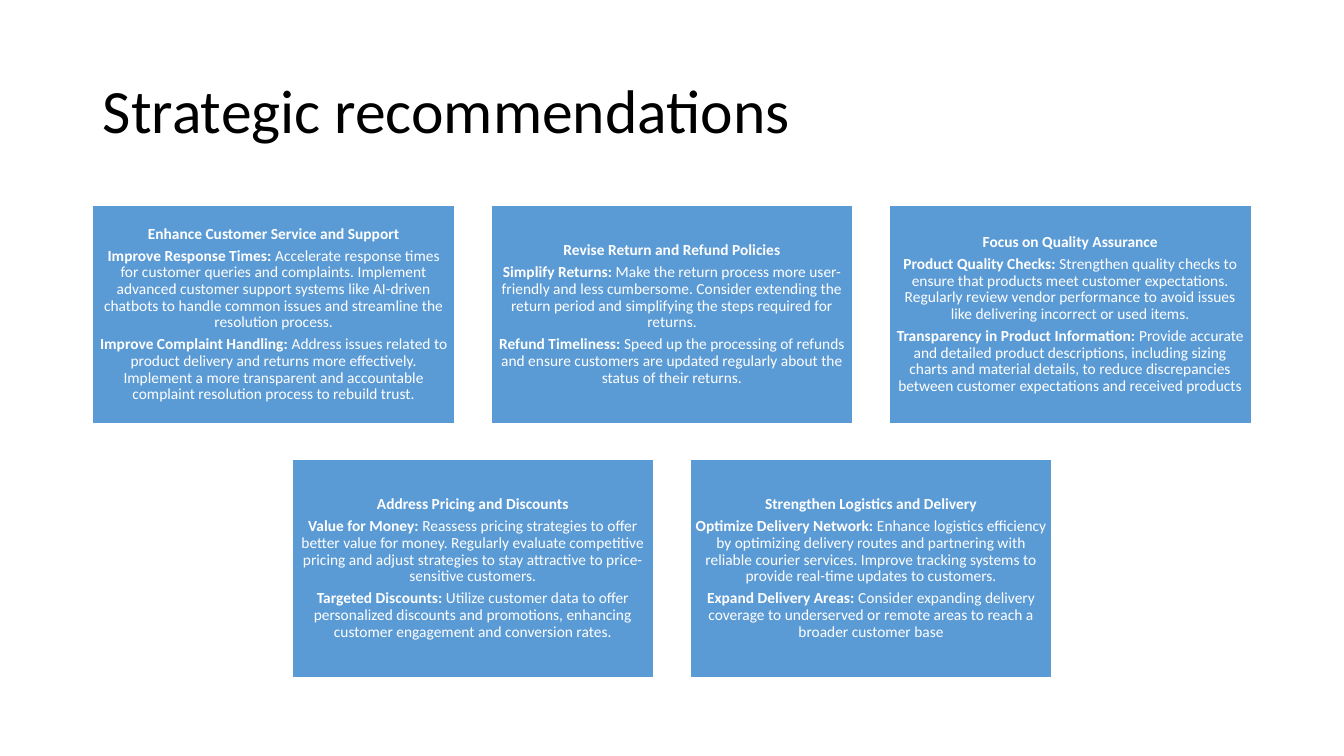
from pptx import Presentation
from pptx.dml.color import RGBColor
from pptx.enum.shapes import MSO_SHAPE
from pptx.enum.text import MSO_ANCHOR, MSO_AUTO_SIZE, PP_ALIGN
from pptx.util import Inches, Pt

# Content: rows of cards, each a heading and its (label, text) points
TITLE = "Strategic recommendations"
ROWS = [
    [
        ("Enhance Customer Service and Support", [
            ("Improve Response Times:", "Accelerate response times for customer queries and complaints. "
             "Implement advanced customer support systems like AI-driven chatbots to handle common issues "
             "and streamline the resolution process."),
            ("Improve Complaint Handling:", "Address issues related to product delivery and returns more "
             "effectively. Implement a more transparent and accountable complaint resolution process to "
             "rebuild trust."),
        ]),
        ("Revise Return and Refund Policies", [
            ("Simplify Returns:", "Make the return process more user-friendly and less cumbersome. Consider "
             "extending the return period and simplifying the steps required for returns."),
            ("Refund Timeliness:", "Speed up the processing of refunds and ensure customers are updated "
             "regularly about the status of their returns."),
        ]),
        ("Focus on Quality Assurance", [
            ("Product Quality Checks:", "Strengthen quality checks to ensure that products meet customer "
             "expectations. Regularly review vendor performance to avoid issues like delivering incorrect "
             "or used items."),
            ("Transparency in Product Information:", "Provide accurate and detailed product descriptions, "
             "including sizing charts and material details, to reduce discrepancies between customer "
             "expectations and received products"),
        ]),
    ],
    [
        ("Address Pricing and Discounts", [
            ("Value for Money:", "Reassess pricing strategies to offer better value for money. Regularly "
             "evaluate competitive pricing and adjust strategies to stay attractive to price-sensitive "
             "customers."),
            ("Targeted Discounts:", "Utilize customer data to offer personalized discounts and promotions, "
             "enhancing customer engagement and conversion rates."),
        ]),
        ("Strengthen Logistics and Delivery", [
            ("Optimize Delivery Network:", "Enhance logistics efficiency by optimizing delivery routes and "
             "partnering with reliable courier services. Improve tracking systems to provide real-time "
             "updates to customers."),
            ("Expand Delivery Areas:", "Consider expanding delivery coverage to underserved or remote areas "
             "to reach a broader customer base"),
        ]),
    ],
]

# Look
COLORS = {"card": "5B9BD5", "light": "FFFFFF", "dark": "000000"}
FONT = "Calibri"
INSET = Inches(0.05)
FRAME = {"word_wrap": True, "auto_size": MSO_AUTO_SIZE.NONE, "vertical_anchor": MSO_ANCHOR.MIDDLE}
CARD = {**FRAME, "margin_left": INSET, "margin_right": INSET, "margin_top": INSET, "margin_bottom": INSET}
HEAD = {"alignment": PP_ALIGN.LEFT, "line_spacing": 0.9}
BODY = {"alignment": PP_ALIGN.CENTER, "line_spacing": 0.9, "space_after": Pt(3.85)}

# Grid, in inches
WIDE, HIGH = 13.33, 7.5
SIDE, TOP = 0.92, 2.04
CARD_W, CARD_H = 3.59, 2.16
GAP = 0.36


def color(name):
    return RGBColor.from_string(COLORS[name])


def format_all(item, values):
    for name, value in values.items():
        setattr(item, name, value)


def add_run(para, text, size, tint, bold=False):
    run = para.add_run()
    run.text = text
    format_all(run.font, {"name": FONT, "size": Pt(size), "bold": bold})
    run.font.color.rgb = color(tint)


def add_card(slide, left, top, head, points):
    card = slide.shapes.add_shape(MSO_SHAPE.RECTANGLE, *map(Inches, (left, top, CARD_W, CARD_H)))
    card.shadow.inherit = False
    card.fill.solid()
    card.fill.fore_color.rgb = color("card")
    card.line.color.rgb = color("light")
    card.line.width = Pt(1)
    frame = card.text_frame
    format_all(frame, CARD)
    add_run(frame.paragraphs[0], head, 11, "light", True)
    for label, text in points:
        para = frame.add_paragraph()
        add_run(para, label, 11, "light", True)
        add_run(para, " " + text, 11, "light")
    for para in frame.paragraphs:
        format_all(para, BODY)


def main():
    deck = Presentation()
    deck.slide_width, deck.slide_height = Inches(WIDE), Inches(HIGH)
    slide = deck.slides.add_slide(deck.slide_layouts[5])

    # Title
    title = slide.shapes.title
    format_all(title, {"left": Inches(SIDE), "top": Inches(0.4),
                       "width": Inches(11.5), "height": Inches(1.45)})
    format_all(title.text_frame, FRAME)
    para = title.text_frame.paragraphs[0]
    format_all(para, HEAD)
    add_run(para, TITLE, 44, "dark")

    # Cards, each row centred on the slide
    for i, row in enumerate(ROWS):
        span = len(row) * (CARD_W + GAP) - GAP
        start = (WIDE - span) / 2
        for j, (head, points) in enumerate(row):
            add_card(slide, start + j * (CARD_W + GAP), TOP + i * (CARD_H + GAP), head, points)

    deck.save("out.pptx")


if __name__ == "__main__":
    main()
